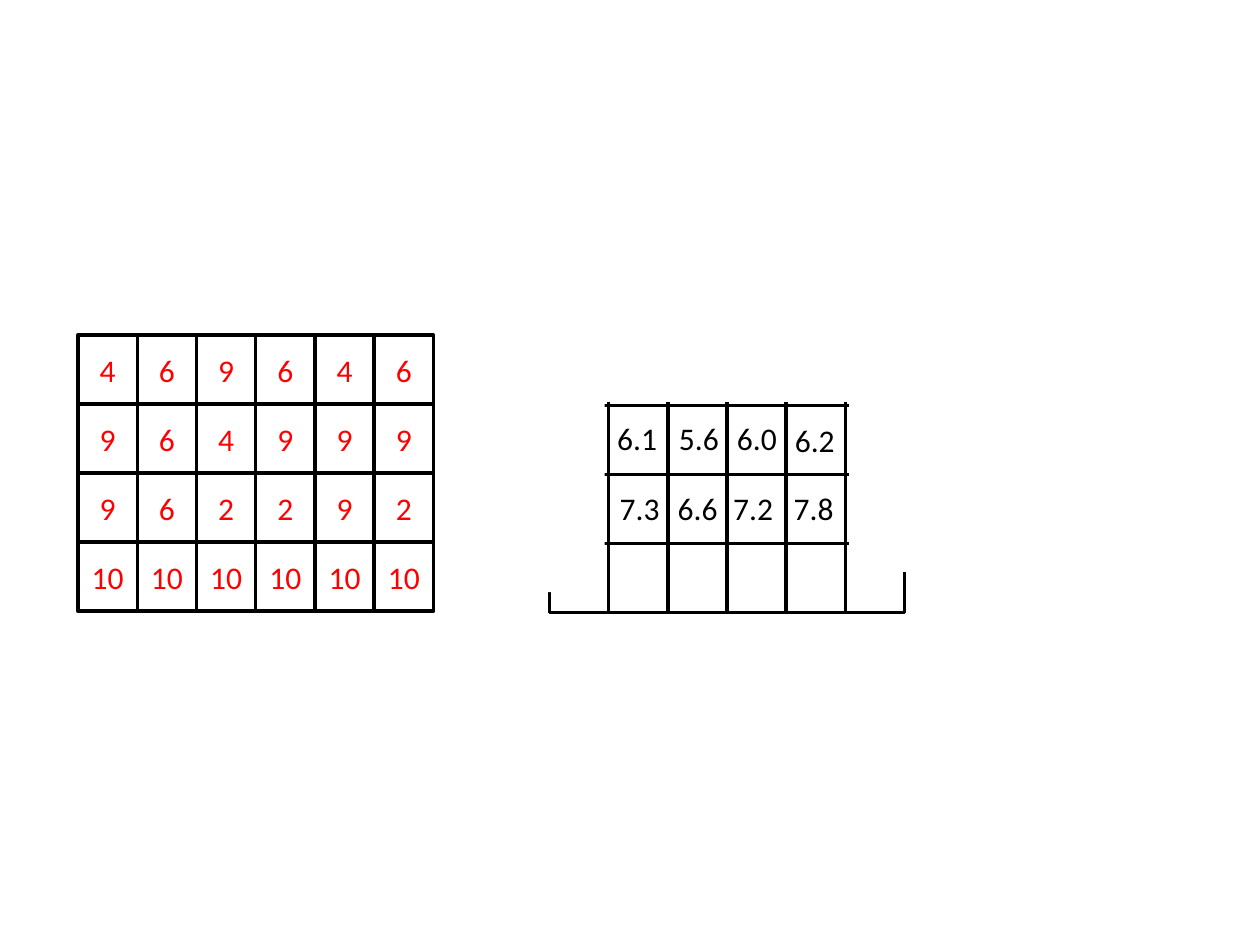
import pptx
import pptx.dml.color
import pptx.enum.shapes
import pptx.enum.text
import pptx.util

Inches = pptx.util.Inches
COLORS = {"ink": "000000", "mark": "FF0000", "blank": "FFFFFF"}
CELL_W, CELL_H = 0.47, 0.548

SCORES = [
    [4, 6, 9, 6, 4, 6],
    [9, 6, 4, 9, 9, 9],
    [9, 6, 2, 2, 9, 2],
    [10, 10, 10, 10, 10, 10],
]
EMPTY = [[""] * 6 for _ in range(4)]

# Text, left, top
MEANS = [
    ("6.1", 4.8, 3.28), ("5.6", 5.29, 3.28), ("6.0", 5.75, 3.28), ("6.2", 6.21, 3.29),
    ("7.3", 4.82, 3.83), ("6.6", 5.28, 3.83), ("7.2", 5.72, 3.83), ("7.8", 6.2, 3.83),
]

# White panels that trim the right-hand grid: left, top, width, height
COVERS = [(4.2, 1.45, 3.18, 1.74), (6.74, 2.8, 0.66, 1.74), (4.14, 2.96, 0.66, 1.74)]


def rgb(name):
    return pptx.dml.color.RGBColor.from_string(COLORS[name])


def write(frame, text, color="ink", size=18, font="Calibri", align=None):
    part = frame.paragraphs[0]
    part.alignment = align
    run = part.add_run()
    run.text = text
    run.font.name = font
    run.font.size = pptx.util.Pt(size)
    run.font.color.rgb = rgb(color)


class Sheet:
    """Holds the line style and the slide being drawn."""

    def __init__(self, slide, line=2):
        self.slide = slide
        self.line = pptx.util.Pt(line)

    def box(self, left, top, width, height):
        kind = pptx.enum.shapes.MSO_SHAPE.RECTANGLE
        place = [Inches(size) for size in (left, top, width, height)]
        shape = self.slide.shapes.add_shape(kind, *place)
        shape.shadow.inherit = False
        return shape

    def cell(self, left, top, text):
        shape = self.box(left, top, CELL_W, CELL_H)
        shape.fill.background()
        shape.line.color.rgb = rgb("ink")
        shape.line.width = self.line
        if text:
            frame = shape.text_frame
            frame.word_wrap = True
            frame.vertical_anchor = pptx.enum.text.MSO_ANCHOR.MIDDLE
            write(frame, text, color="mark", align=pptx.enum.text.PP_ALIGN.CENTER)

    def grid(self, left, top, rows):
        for row, values in enumerate(rows):
            for col, value in enumerate(values):
                self.cell(left + col * CELL_W, top + row * CELL_H, str(value))

    def label(self, text, left, top):
        place = [Inches(size) for size in (left, top, 0.52, 0.4)]
        frame = self.slide.shapes.add_textbox(*place).text_frame
        frame.word_wrap = False
        frame.auto_size = pptx.enum.text.MSO_AUTO_SIZE.SHAPE_TO_FIT_TEXT
        write(frame, text)

    def cover(self, *place):
        shape = self.box(*place)
        shape.fill.solid()
        shape.fill.fore_color.rgb = rgb("blank")
        shape.line.fill.background()


def main():
    deck = pptx.Presentation()
    deck.slide_width, deck.slide_height = Inches(10), Inches(7.5)
    sheet = Sheet(deck.slides.add_slide(deck.slide_layouts[6]))
    sheet.grid(0.62, 2.66, SCORES)
    sheet.grid(4.36, 2.67, EMPTY)
    for mean in MEANS:
        sheet.label(*mean)
    for place in COVERS:
        sheet.cover(*place)
    deck.save("out.pptx")


if __name__ == "__main__":
    main()
